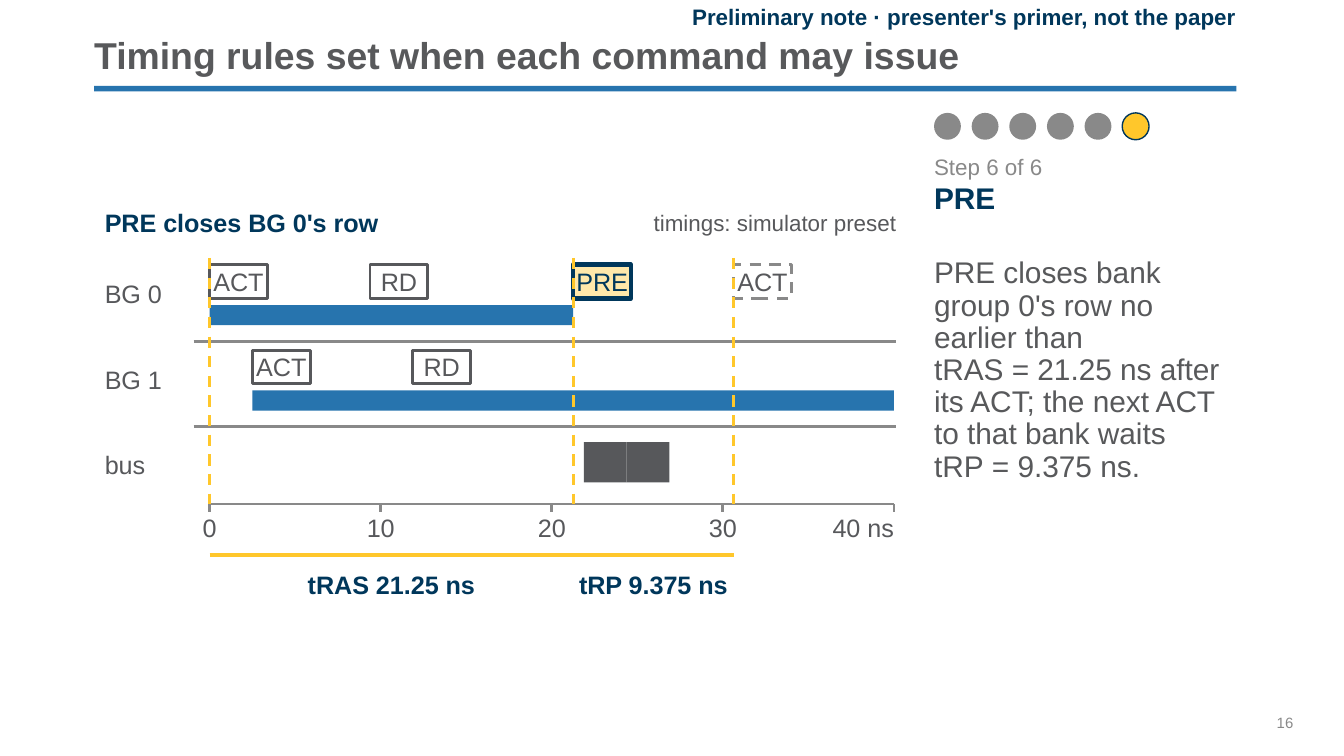
from dataclasses import dataclass

import pptx
import pptx.dml.color
import pptx.enum.dml
import pptx.enum.shapes
import pptx.enum.text
import pptx.oxml.ns
import pptx.util
from lxml import etree
from pptx.util import Inches

ALIGN = pptx.enum.text.PP_ALIGN
ANCHOR = pptx.enum.text.MSO_ANCHOR
SHAPE = pptx.enum.shapes.MSO_SHAPE
DASH = pptx.enum.dml.MSO_LINE.DASH


@dataclass(frozen=True)
class Theme:
    font: str = "Arial"
    navy: str = "00375B"
    blue: str = "2774AE"
    gold: str = "FFC72B"
    text: str = "58595B"
    ink: str = "57585B"
    gray: str = "898989"
    white: str = "FFFFFF"
    title: float = 20
    body: float = 16
    label: float = 13.5
    note: float = 12
    page: float = 8


THEME = Theme()
WIDE = 10
START, SCALE = 1.56, 0.1273  # inches at 0 ns, inches per ns
END = 40
BOX_W, BOX_H = 0.43, 0.25
ROW = 0.635  # pitch of the lanes
TOP, AXIS = 1.92, 3.75
RAS, RP = 21.25, 9.375
HARD = chr(160)  # no-break space, keeps a value with its unit


def time_x(ns):
    return START + ns * SCALE


def rgb(color):
    return pptx.dml.color.RGBColor.from_string(color)


def style(para, size, color, bold=False, align=ALIGN.LEFT):
    para.alignment = align
    for run in para.runs:
        font = run.font
        font.name, font.size, font.bold = THEME.font, pptx.util.Pt(size), bold
        font.color.rgb = rgb(color)


def set_frame(frame, anchor=ANCHOR.MIDDLE, wrap=True):
    frame.margin_left = frame.margin_right = 0
    frame.margin_top = frame.margin_bottom = 0
    frame.word_wrap = wrap
    frame.auto_size = pptx.enum.text.MSO_AUTO_SIZE.NONE
    frame.vertical_anchor = anchor


def add_text(slide, text, x, y, w, h, size=THEME.label, color=THEME.ink,
             bold=False, align=ALIGN.LEFT, anchor=ANCHOR.MIDDLE):
    box = slide.shapes.add_textbox(Inches(x), Inches(y), Inches(w), Inches(h))
    frame = box.text_frame
    set_frame(frame, anchor)
    frame.text = text
    for para in frame.paragraphs:
        style(para, size, color, bold, align)
    return frame


def add_shape(slide, x, y, w, h, fill=None, line=None, width=1.5,
              kind=SHAPE.RECTANGLE):
    shape = slide.shapes.add_shape(kind, Inches(x), Inches(y), Inches(w), Inches(h))
    shape.shadow.inherit = False
    if fill:
        shape.fill.solid()
        shape.fill.fore_color.rgb = rgb(fill)
    else:
        shape.fill.background()
    if line:
        shape.line.color.rgb = rgb(line)
        shape.line.width = pptx.util.Pt(width)
    else:
        shape.line.fill.background()
    return shape


def add_line(slide, x1, y1, x2, y2, color=THEME.gray, width=1.5, dash=None):
    line = slide.shapes.add_connector(
        pptx.enum.shapes.MSO_CONNECTOR.STRAIGHT,
        Inches(x1), Inches(y1), Inches(x2), Inches(y2))
    line.line.color.rgb = rgb(color)
    line.line.width = pptx.util.Pt(width)
    if dash:
        line.line.dash_style = dash
    etree.SubElement(line._element.spPr, pptx.oxml.ns.qn("a:effectLst"))


def add_command(slide, name, ns, lane, fill=THEME.white, line=THEME.ink,
                width=1.5, color=THEME.ink):
    box = add_shape(slide, time_x(ns), 1.97 + lane * ROW, BOX_W, BOX_H,
                    fill, line, width)
    set_frame(box.text_frame, wrap=False)
    box.text_frame.text = name
    style(box.text_frame.paragraphs[0], THEME.label, color, align=ALIGN.CENTER)
    return box


def set_alpha(shape, percent):
    color = shape._element.spPr.find(".//" + pptx.oxml.ns.qn("a:srgbClr"))
    alpha = etree.SubElement(color, pptx.oxml.ns.qn("a:alpha"))
    alpha.set("val", str(percent * 1000))


def add_head(slide):
    add_shape(slide, 0.7, 0.64, 8.5, 0.04, THEME.blue)
    add_text(slide, "Preliminary note · presenter's primer, not the paper",
             4.2, 0.04, 5, 0.17, THEME.note, THEME.navy, True, ALIGN.RIGHT)
    title = slide.shapes.title
    title.left, title.top = Inches(0.7), Inches(0.22)
    title.width, title.height = Inches(8.5), Inches(0.36)
    set_frame(title.text_frame, ANCHOR.BOTTOM)
    title.text_frame.text = "Timing rules set when each command may issue"
    para = title.text_frame.paragraphs[0]
    para.line_spacing = 0.9
    style(para, THEME.title, THEME.text, True)


def add_steps(slide, count=6):
    for step in range(count):
        last = step == count - 1
        add_shape(slide, 6.95 + step * 0.28, 0.84, 0.2, 0.2,
                  THEME.gold if last else THEME.gray,
                  THEME.navy if last else None, 0.75, SHAPE.OVAL)
    frame = add_text(slide, "Step 6 of 6\nPRE", 6.95, 1.14, 2.25, 0.72,
                     THEME.note, THEME.gray, anchor=ANCHOR.TOP)
    style(frame.paragraphs[1], THEME.body, THEME.navy, True)
    ras, rp = (HARD.join(words.split())
               for words in ("tRAS = 21.25 ns", "tRP = 9.375 ns"))
    frame = add_text(
        slide,
        f"PRE closes bank group 0's row no earlier than {ras} after "
        f"its ACT; the next ACT to that bank waits {rp}.",
        6.95, 1.92, 2.25, 3.28, THEME.body, THEME.text, anchor=ANCHOR.TOP)
    frame.paragraphs[0].line_spacing = 0.9


def add_axis(slide):
    for lane, name in enumerate(("BG 0", "BG 1", "bus")):
        add_text(slide, name, 0.78, 2.04 + lane * ROW, 0.56, 0.29)
    for lane in range(2):
        y = 2.54 + lane * ROW
        add_line(slide, 1.44, y, 6.67, y)
    add_line(slide, START, AXIS, time_x(END), AXIS)
    for ns in range(0, END + 1, 10):
        x = time_x(ns)
        add_line(slide, x, AXIS, x, AXIS + 0.06)
        if ns < END:
            add_text(slide, str(ns), x - 0.17, 3.78, 0.34, 0.29, align=ALIGN.CENTER)
        else:
            add_text(slide, f"{ns} ns", x - 0.67, 3.78, 0.67, 0.29, align=ALIGN.RIGHT)


def add_lanes(slide):
    for lane, (start, stop) in enumerate(((0, RAS), (2.5, END))):
        add_command(slide, "ACT", start, lane)
        add_shape(slide, time_x(start), 2.27 + lane * ROW,
                  (stop - start) * SCALE, 0.15, THEME.blue)
        add_command(slide, "RD", start + 9.375, lane)
    box = add_command(slide, "PRE", RAS, 0, THEME.gold, THEME.navy, 2.5, THEME.navy)
    set_alpha(box, 40)
    box = add_command(slide, "ACT", RAS + RP, 0, None, THEME.gray)
    box.line.dash_style = DASH
    for ns in (21.875, 24.375):
        add_shape(slide, time_x(ns), 3.29, 2.5 * SCALE, 0.3, THEME.ink)


def add_spans(slide):
    spans = (("tRAS 21.25 ns", 0, RAS), ("tRP 9.375 ns", RAS, RAS + RP))
    for name, start, stop in spans:
        add_line(slide, time_x(start), 4.13, time_x(stop), 4.13, THEME.gold, 2.5)
        add_text(slide, name, time_x((start + stop) / 2) - 0.75, 4.2, 1.5, 0.29,
                 color=THEME.navy, bold=True, align=ALIGN.CENTER)
    for ns in (0, RAS, RAS + RP):
        add_line(slide, time_x(ns), TOP, time_x(ns), AXIS, THEME.gold, dash=DASH)


def main():
    deck = pptx.Presentation()
    deck.slide_width, deck.slide_height = Inches(WIDE), Inches(WIDE * 9 / 16)
    slide = deck.slides.add_slide(deck.slide_layouts[5])
    add_head(slide)
    add_steps(slide)
    add_axis(slide)
    add_text(slide, "PRE closes BG 0's row", 0.78, 1.51, 2.44, 0.29,
             color=THEME.navy, bold=True)
    add_lanes(slide)
    add_spans(slide)
    add_text(slide, "timings: simulator preset", 4.15, 1.53, 2.52, 0.25,
             THEME.note, align=ALIGN.RIGHT)
    add_text(slide, "16", 9.5, 5.31, 0.5, 0.14, THEME.page, THEME.gray,
             anchor=ANCHOR.TOP)
    deck.save("out.pptx")


if __name__ == "__main__":
    main()
